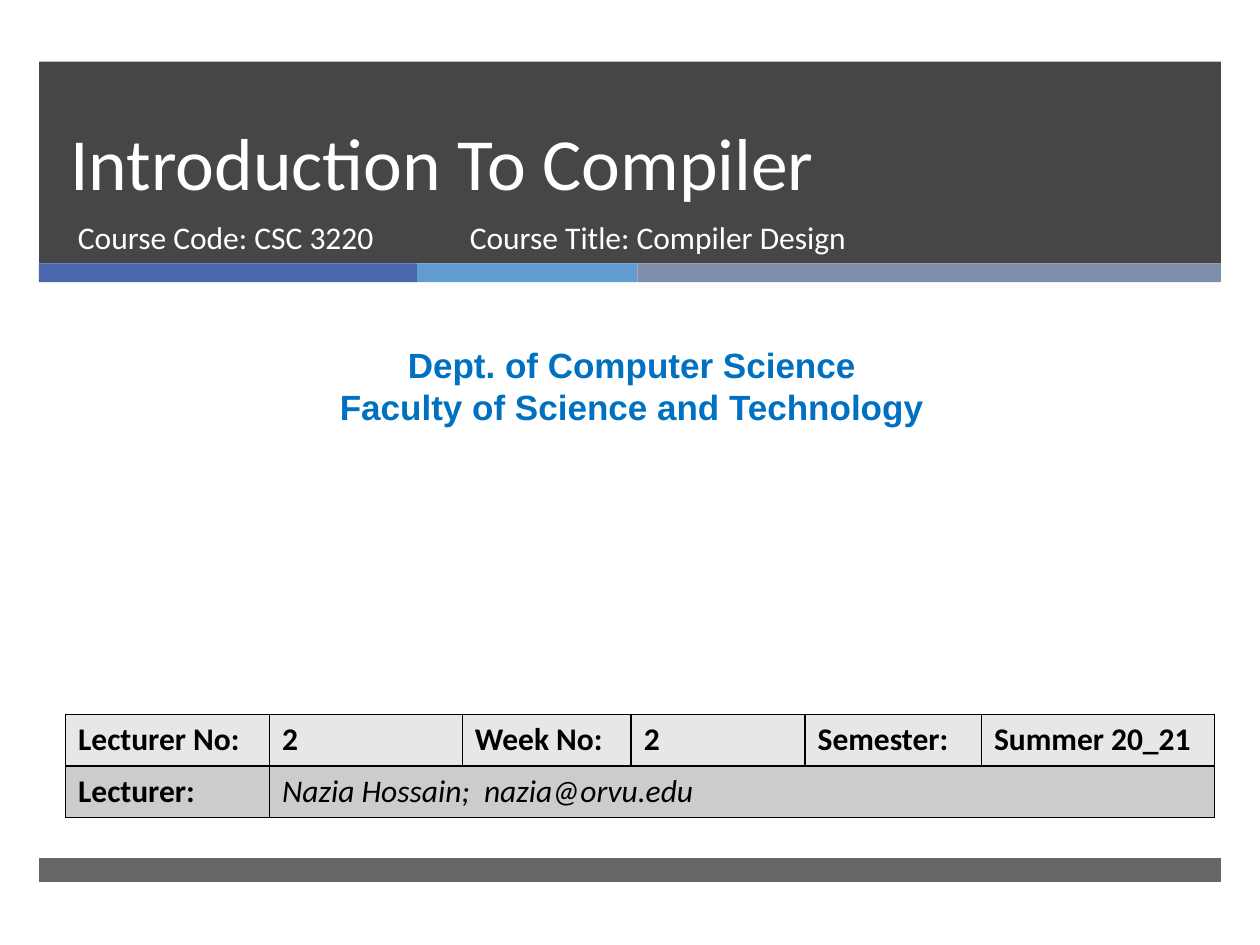
from pptx import Presentation
from pptx.dml.color import RGBColor
from pptx.enum.shapes import MSO_SHAPE
from pptx.enum.text import MSO_ANCHOR, MSO_AUTO_SIZE, PP_ALIGN
from pptx.oxml.ns import qn
from pptx.util import Inches, Pt
from lxml import etree

RECTANGLE = MSO_SHAPE.RECTANGLE
TOP, BOTTOM = MSO_ANCHOR.TOP, MSO_ANCHOR.BOTTOM
NO_FIT = MSO_AUTO_SIZE.NONE
LEFT, CENTER = PP_ALIGN.LEFT, PP_ALIGN.CENTER
TITLE_ONLY = 5

DARK, WHITE, BLACK, BLUE = "262626", "FFFFFF", "000000", "0070C0"


def color(value):
    return RGBColor.from_string(value)


class SlideBuilder:
    font = "Calibri"
    size = 18

    def __init__(self, page):
        self.page = page

    def add_span(self, para, text, size=None, ink=BLACK, font=None,
                 bold=False, italic=False):
        span = para.add_run()
        span.text = text
        span.font.name = font or self.font
        span.font.size = Pt(size or self.size)
        span.font.color.rgb = color(ink)
        span.font.bold = bold
        span.font.italic = italic

    def bar(self, left, top, width, height, fill, opacity=100):
        box = self.page.shapes.add_shape(
            RECTANGLE, Inches(left), Inches(top), Inches(width), Inches(height))
        box.shadow.inherit = False
        box.line.fill.background()
        box.fill.solid()
        box.fill.fore_color.rgb = color(fill)
        if opacity < 100:
            tint = box.element.spPr.find(qn("a:solidFill"))[0]
            etree.SubElement(tint, qn("a:alpha"), val=str(opacity * 1000))

    def title(self, text, left, top, width, height, size, spacing):
        box = self.page.shapes.title
        box.left, box.top = Inches(left), Inches(top)
        box.width, box.height = Inches(width), Inches(height)
        # Bring the title in front of the banner
        box.element.getparent().append(box.element)
        frame = box.text_frame
        frame.auto_size = NO_FIT
        frame.word_wrap = True
        frame.vertical_anchor = BOTTOM
        para = frame.paragraphs[0]
        para.alignment = LEFT
        para.line_spacing = Pt(spacing)
        self.add_span(para, text, size, WHITE)

    def text(self, lines, left, top, width, height, align=LEFT, **style):
        box = self.page.shapes.add_textbox(
            Inches(left), Inches(top), Inches(width), Inches(height))
        frame = box.text_frame
        frame.word_wrap = True
        frame.vertical_anchor = TOP
        for index, line in enumerate(lines):
            para = frame.add_paragraph() if index else frame.paragraphs[0]
            para.alignment = align
            self.add_span(para, line, **style)

    def borders(self, holder):
        for props in holder.element.iter(qn("a:tcPr")):
            for index, side in enumerate(("a:lnL", "a:lnR", "a:lnT", "a:lnB")):
                line = etree.Element(qn(side), w=str(int(Pt(1))))
                fill = etree.SubElement(line, qn("a:solidFill"))
                etree.SubElement(fill, qn("a:srgbClr"), val=BLACK)
                props.insert(index, line)

    def table(self, left, top, widths, row_height, rows, fills):
        holder = self.page.shapes.add_table(
            len(rows), len(widths), Inches(left), Inches(top),
            Inches(sum(widths)), Inches(row_height * len(rows)))
        grid = holder.table
        for column, width in zip(grid.columns, widths):
            column.width = Inches(width)
        for row_index, (row, fill) in enumerate(zip(rows, fills)):
            grid.rows[row_index].height = Inches(row_height)
            for column_index in range(len(widths)):
                cell = grid.cell(row_index, column_index)
                cell.fill.solid()
                cell.fill.fore_color.rgb = color(fill)
                if column_index < len(row):
                    text, style = row[column_index]
                    self.add_span(cell.text_frame.paragraphs[0], text, **style)
            # A short row lets its last cell run to the right edge
            if len(row) < len(widths):
                grid.cell(row_index, len(row) - 1).merge(
                    grid.cell(row_index, len(widths) - 1))
        self.borders(holder)


deck = Presentation()
deck.slide_width, deck.slide_height = Inches(10), Inches(7.5)
slide = SlideBuilder(deck.slides.add_slide(deck.slide_layouts[TITLE_ONLY]))

# Banner, accent strip and footer
margin, full_width = 0.31, 9.38
slide.bar(margin, 0.49, full_width, 1.6, DARK, 85)
strip_left = margin
for strip_width, strip_fill in ((3, "4A66AC"), (1.75, "629DD1"), (4.63, "7F8FA9")):
    slide.bar(strip_left, 2.09, strip_width, 0.15, strip_fill)
    strip_left += strip_width
slide.bar(margin, 6.81, full_width, 0.19, DARK, 70)

# Title and course details
slide.title("Introduction To Compiler", 0.46, 0.49, 8.54, 1.19, 42, 46)
for course_text, course_left, course_width in (
        ("Course Code: CSC 3220", 0.52, 3.05),
        ("Course Title: Compiler Design", 3.63, 4.55)):
    slide.text([course_text], course_left, 1.68, course_width, 0.53, ink=WHITE)

# Department
slide.text(["Dept. of Computer Science", "Faculty of Science and Technology"],
           0.08, 2.68, 9.87, 0.77, CENTER,
           size=20, ink=BLUE, font="Arial", bold=True)

# Lecture details
strong, slanted = {"bold": True}, {"italic": True}
details = ["Lecturer No:", "2", "Week No:", "2", "Semester:", "Summer 20_21"]
slide.table(0.52, 5.67, [1.62, 1.53, 1.34, 1.38, 1.4, 1.85], 0.41,
            [[(detail, strong) for detail in details],
             [("Lecturer:", strong), ("Nazia Hossain;  nazia@orvu.edu", slanted)]],
            ["E7E7E7", "CCCCCC"])

deck.save("out.pptx")
